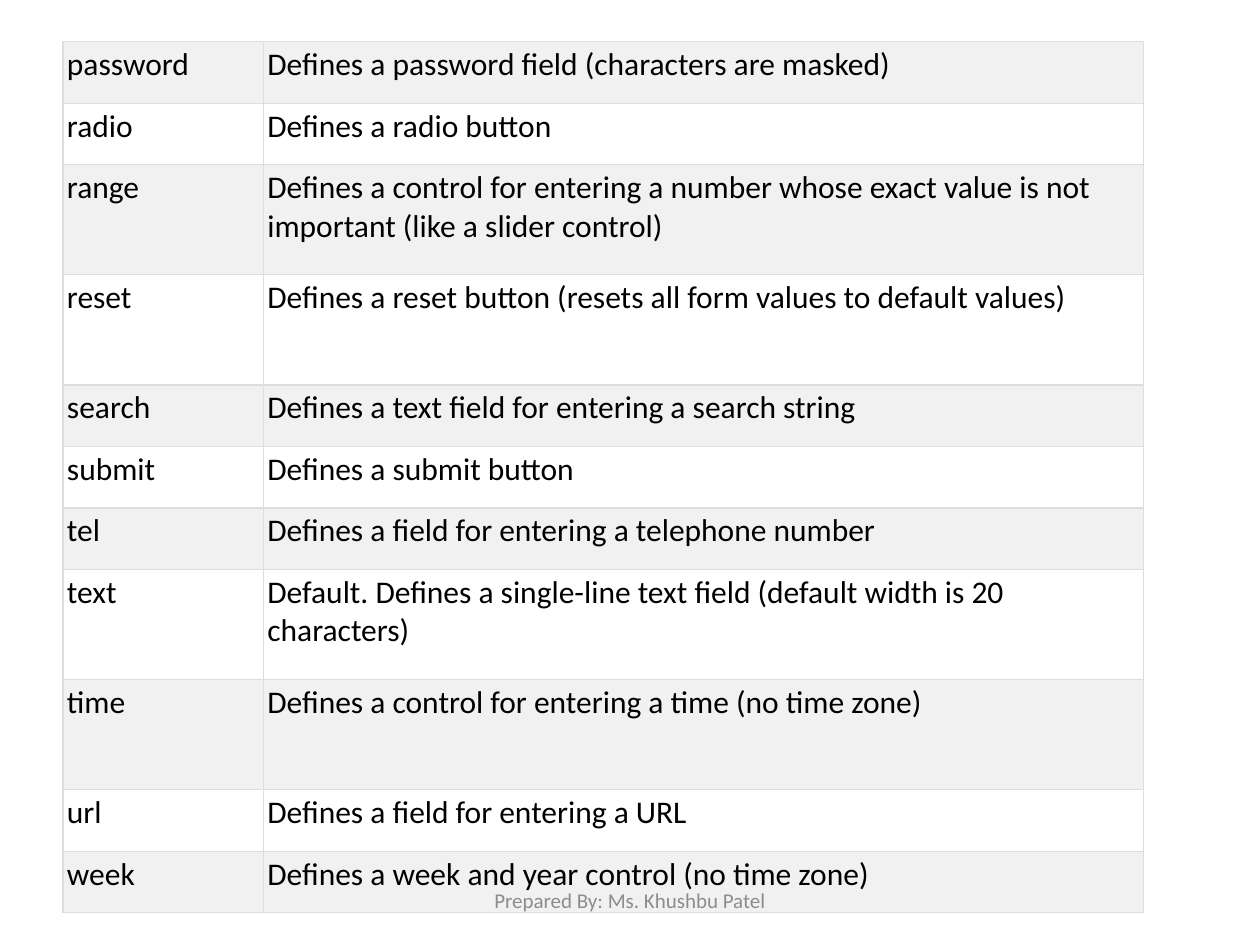
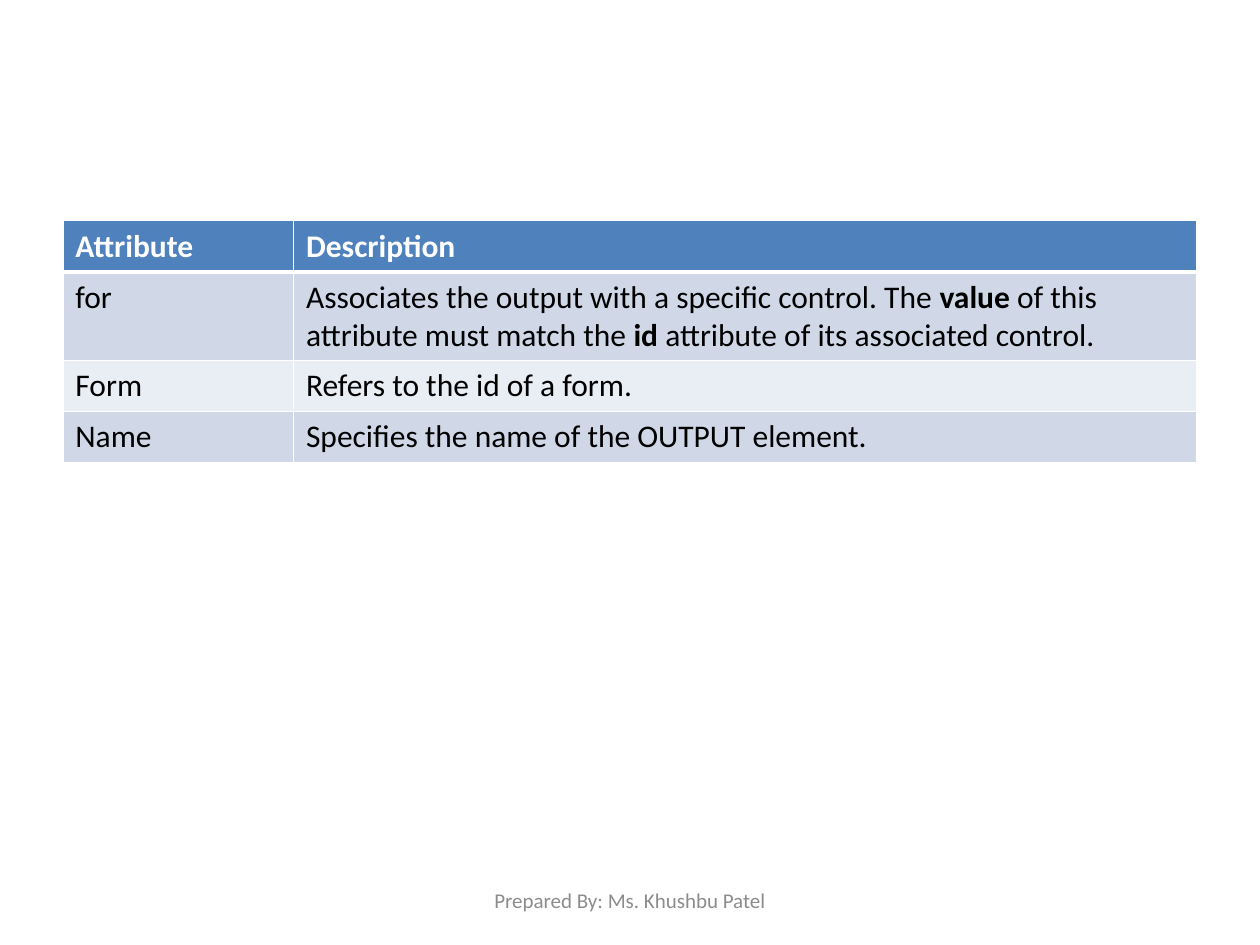
import pptx
import pptx.util
import pptx.dml.color
import pptx.enum.text
import pptx.oxml.ns
import pptx.slide
import pptx.table
import pptx.text.text
from dataclasses import dataclass
from lxml import etree

Cm = pptx.util.Cm
Pt = pptx.util.Pt
Color = pptx.dml.color.RGBColor

# Shared look
FONT = "Calibri"
BLACK = Color(0x00, 0x00, 0x00)
WHITE = Color(0xFF, 0xFF, 0xFF)
GREY = Color(0x8C, 0x8C, 0x8C)
RULE = Color(0xDD, 0xDD, 0xDD)
PALE = Color(0xF1, 0xF1, 0xF1)
BLUE = Color(0x4F, 0x81, 0xBD)
BAND = Color(0xD0, 0xD8, 0xE8)
LIGHT = Color(0xE9, 0xED, 0xF4)
FOOTER = "Prepared By: Ms. Khushbu Patel"
LEFT = 1.27
LOW, HIGH = 1.24, 2.22


@dataclass(frozen=True)
class Row:
    name: str
    text: str
    height: float


@dataclass(frozen=True)
class Grid:
    top: float
    widths: tuple[float, float]
    rows: list[Row]
    bands: tuple[Color, Color]
    line: Color
    weight: float
    inset: tuple[float, float]  # horizontal, vertical
    head: bool = False


INPUTS = Grid(
    top=0.84, widths=(4.04, 17.75), bands=(PALE, WHITE),
    line=RULE, weight=0.75, inset=(0.08, 0.08),
    rows=[
        Row("password", "Defines a password field (characters are masked)", LOW),
        Row("radio", "Defines a radio button", LOW),
        Row("range", "Defines a control for entering a number whose exact value "
            "is not important (like a slider control)", HIGH),
        Row("reset", "Defines a reset button (resets all form values to default "
            "values)", HIGH),
        Row("search", "Defines a text field for entering a search string", LOW),
        Row("submit", "Defines a submit button", LOW),
        Row("tel", "Defines a field for entering a telephone number", LOW),
        Row("text", "Default. Defines a single-line text field (default width "
            "is 20 characters)", HIGH),
        Row("time", "Defines a control for entering a time (no time zone)", HIGH),
        Row("url", "Defines a field for entering a URL", LOW),
        Row("week", "Defines a week and year control (no time zone)", LOW),
    ])

# Double asterisks enclose bold words
OUTPUT = Grid(
    top=4.45, widths=(4.65, 18.21), bands=(LIGHT, BAND),
    line=WHITE, weight=1, inset=(0.25, 0.13), head=True,
    rows=[
        Row("Attribute", "Description", 1.03),
        Row("for", "Associates the output with a specific control. The **value** "
            "of this attribute must match the **id** attribute of its associated "
            "control.", 1.78),
        Row("Form", "Refers to the id of a form.", 1.03),
        Row("Name", "Specifies the name of the OUTPUT element.", 1.03),
    ])


def put(frame: pptx.text.text.TextFrame, text: str, *, size: float = 18,
        color: Color = BLACK, bold: bool = False, align=None) -> None:
    par = frame.paragraphs[0]
    par.alignment = align
    for num, part in enumerate(text.split("**")):
        run = par.add_run()
        run.text = part
        run.font.name = FONT
        run.font.size = Pt(size)
        run.font.color.rgb = color
        run.font.bold = bold or num % 2 == 1


def edge(cell: pptx.table._Cell, color: Color, sides: dict[str, float]) -> None:
    """Border lines come before the fill in the cell properties."""
    props = cell._tc.get_or_add_tcPr()
    qn = pptx.oxml.ns.qn
    for num, (side, weight) in enumerate(sides.items()):
        line = etree.Element(qn(f"a:ln{side}"), w=str(Pt(weight)))
        fill = etree.SubElement(line, qn("a:solidFill"))
        etree.SubElement(fill, qn("a:srgbClr"), val=str(color))
        props.insert(num, line)


def draw(slide: pptx.slide.Slide, grid: Grid) -> None:
    width = sum(grid.widths)
    height = sum(row.height for row in grid.rows)
    table = slide.shapes.add_table(
        len(grid.rows), len(grid.widths),
        Cm(LEFT), Cm(grid.top), Cm(width), Cm(height)).table
    table.first_row = grid.head
    table.horz_banding = False
    for col, span in zip(table.columns, grid.widths):
        col.width = Cm(span)
    for num, row in enumerate(grid.rows):
        table.rows[num].height = Cm(row.height)
        title = grid.head and num == 0
        sides = dict.fromkeys("LRTB", grid.weight)
        if grid.head and num < 2:
            sides["B" if title else "T"] = 3
        for col, text in enumerate((row.name, row.text)):
            cell = table.cell(num, col)
            cell.margin_left = cell.margin_right = Cm(grid.inset[0])
            cell.margin_top = cell.margin_bottom = Cm(grid.inset[1])
            cell.fill.solid()
            cell.fill.fore_color.rgb = BLUE if title else grid.bands[num % 2]
            edge(cell, grid.line, sides)
            put(cell.text_frame, text, bold=title,
                color=WHITE if title else BLACK)


def foot(slide: pptx.slide.Slide) -> None:
    box = slide.shapes.add_textbox(Cm(8.68), Cm(17.65), Cm(8.04), Cm(1.01))
    frame = box.text_frame
    frame.word_wrap = True
    frame.vertical_anchor = pptx.enum.text.MSO_ANCHOR.MIDDLE
    put(frame, FOOTER, size=12, color=GREY,
        align=pptx.enum.text.PP_ALIGN.CENTER)


def main() -> None:
    deck = pptx.Presentation()
    deck.slide_width, deck.slide_height = Cm(25.4), Cm(19.05)
    blank = deck.slide_layouts.get_by_name("Blank")
    for grid in (INPUTS, OUTPUT):
        slide = deck.slides.add_slide(blank)
        draw(slide, grid)
        foot(slide)
    deck.save("out.pptx")


if __name__ == "__main__":
    main()
